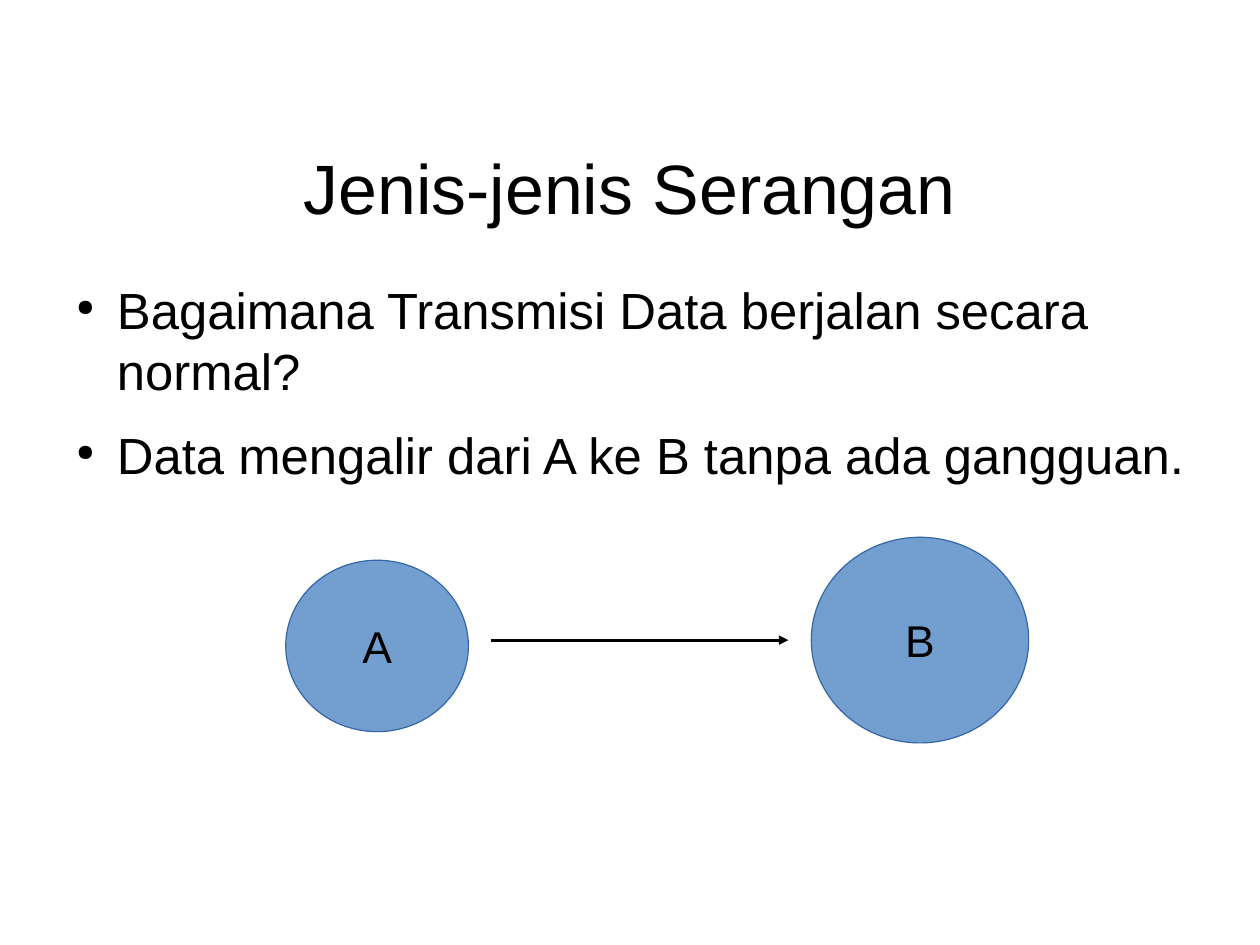
from dataclasses import dataclass

from lxml.etree import SubElement
from pptx import Presentation
from pptx.dml.color import RGBColor
from pptx.enum.shapes import MSO_CONNECTOR, MSO_SHAPE
from pptx.enum.text import MSO_ANCHOR, PP_ALIGN
from pptx.oxml.ns import qn
from pptx.util import Cm, Pt


@dataclass(frozen=True)
class Theme:
    """Colours, font and type sizes of the deck."""
    ink: RGBColor = RGBColor(0x00, 0x00, 0x00)
    node_fill: RGBColor = RGBColor(0x72, 0x9F, 0xCF)
    node_line: RGBColor = RGBColor(0x34, 0x65, 0xA4)
    font: str = "Arial"
    title_size: Pt = Pt(44)
    body_size: Pt = Pt(32)
    node_size: Pt = Pt(28)
    hairline: Pt = Pt(0)


@dataclass(frozen=True)
class Box:
    """A rectangle measured in centimetres."""
    left: float
    top: float
    width: float
    height: float

    def lengths(self):
        """Return left, top, width and height as lengths."""
        return Cm(self.left), Cm(self.top), Cm(self.width), Cm(self.height)


THEME = Theme()


def write(paragraph, text, size, align):
    """Fill a paragraph and set its font and alignment."""
    paragraph.text = text
    paragraph.alignment = align
    paragraph.font.name = THEME.font
    paragraph.font.size = size
    paragraph.font.color.rgb = THEME.ink


def add_frame(page, box, anchor):
    """Add a wrapping text box without margins and return its text frame."""
    frame = page.shapes.add_textbox(*box.lengths()).text_frame
    frame.word_wrap = True
    frame.vertical_anchor = anchor
    frame.margin_left = frame.margin_right = Cm(0)
    frame.margin_top = frame.margin_bottom = Cm(0)
    return frame


def add_bullet(paragraph):
    """Give a paragraph a small round bullet with a hanging indent."""
    properties = paragraph._p.get_or_add_pPr()
    properties.set("marL", str(Cm(1.2)))
    properties.set("indent", str(Cm(-0.9)))
    colour = SubElement(properties, qn("a:buClr"))
    SubElement(colour, qn("a:srgbClr"), val=str(THEME.ink))
    SubElement(properties, qn("a:buSzPct"), val="45000")
    SubElement(properties, qn("a:buChar"), char="●")


def add_title(page, box, text):
    """Place the centred title in its box."""
    frame = add_frame(page, box, MSO_ANCHOR.MIDDLE)
    write(frame.paragraphs[0], text, THEME.title_size, PP_ALIGN.CENTER)


def add_points(page, box, points):
    """Place the bulleted points in their box."""
    frame = add_frame(page, box, MSO_ANCHOR.TOP)
    for index, point in enumerate(points):
        paragraph = frame.add_paragraph() if index else frame.paragraphs[0]
        write(paragraph, point, THEME.body_size, PP_ALIGN.LEFT)
        paragraph.space_before = Pt(14.2)
        add_bullet(paragraph)


def add_node(group, box, label):
    """Draw one labelled ellipse."""
    node = group.shapes.add_shape(MSO_SHAPE.OVAL, *box.lengths())
    node.shadow.inherit = False
    node.fill.solid()
    node.fill.fore_color.rgb = THEME.node_fill
    node.line.color.rgb = THEME.node_line
    node.line.width = THEME.hairline
    frame = node.text_frame
    frame.word_wrap = False
    frame.vertical_anchor = MSO_ANCHOR.MIDDLE
    write(frame.paragraphs[0], label, THEME.node_size, PP_ALIGN.CENTER)


def add_arrow(group, start, end, middle):
    """Draw a level arrow from start to end."""
    arrow = group.shapes.add_connector(
        MSO_CONNECTOR.STRAIGHT, Cm(start), Cm(middle), Cm(end), Cm(middle))
    arrow.line.color.rgb = THEME.ink
    arrow.line.width = THEME.hairline
    SubElement(arrow.line._get_or_add_ln(), qn("a:tailEnd"), type="triangle")
    SubElement(arrow._element.spPr, qn("a:effectLst"))


def add_flow(page, box, sender, receiver):
    """Draw the flow from the sender to the larger receiver."""
    group = page.shapes.add_group_shape()
    gap = 0.51
    source = Box(box.left, box.top + gap, 4.06, 3.81)
    target_width = 4.83
    target = Box(box.left + box.width - target_width, box.top,
                 target_width, box.height)
    add_node(group, source, sender)
    add_arrow(group, source.left + source.width + gap, target.left - gap,
              box.top + box.height / 2)
    add_node(group, target, receiver)


def main():
    """Build and save the deck."""
    deck = Presentation()
    deck.slide_width, deck.slide_height = Cm(28), Cm(21)
    page = deck.slides.add_slide(deck.slide_layouts[6])
    add_title(page, Box(1.4, 2.69, 25.2, 2.9), "Jenis-jenis Serangan")
    add_points(page, Box(1.4, 6.2, 25.2, 12.19), [
        "Bagaimana Transmisi Data berjalan secara normal?",
        "Data mengalir dari A ke B tanpa ada gangguan.",
    ])
    add_flow(page, Box(6.35, 11.94, 16.51, 4.57), "A", "B")
    deck.save("out.pptx")


if __name__ == "__main__":
    main()
